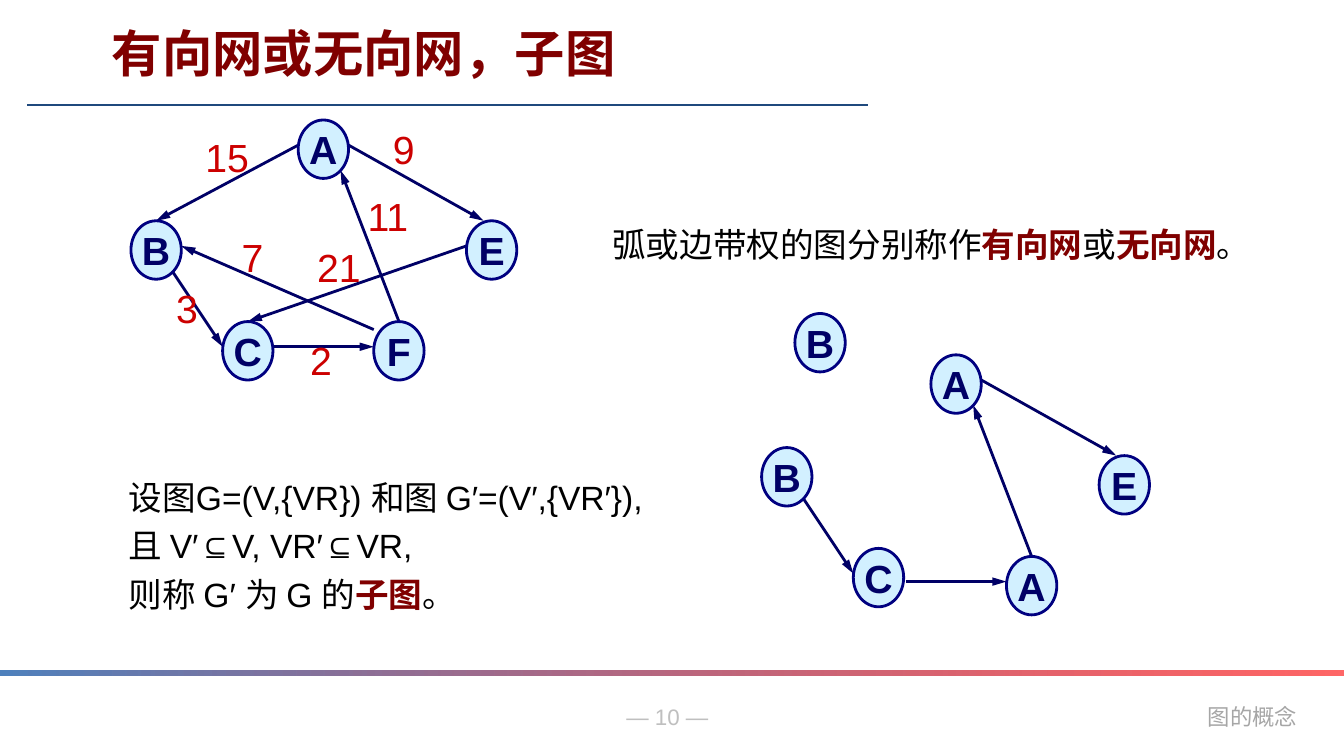
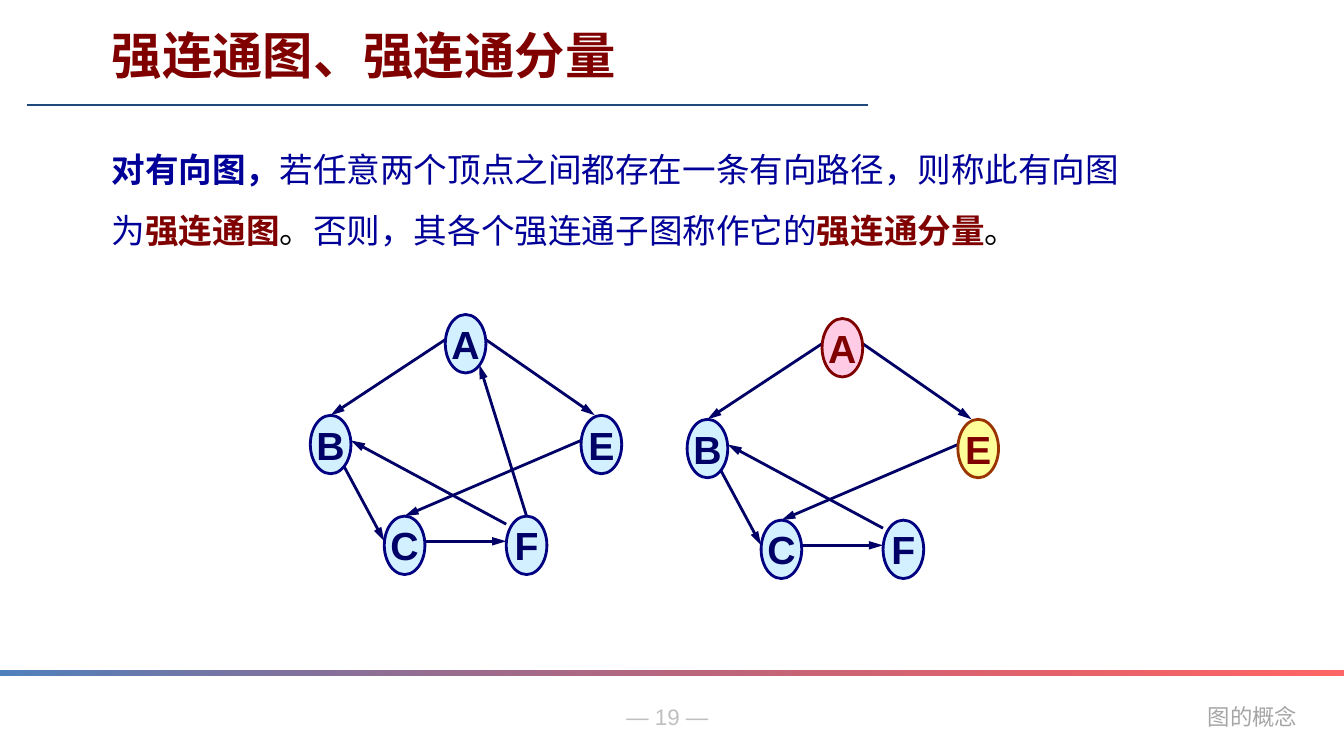
from dataclasses import dataclass
from pptx import Presentation
from pptx.dml.color import RGBColor as Rgb
from pptx.enum.shapes import MSO_CONNECTOR as Conn, MSO_SHAPE as Shape
from pptx.enum.text import MSO_ANCHOR as Anchor, PP_ALIGN as Align
from pptx.oxml.ns import qn
from pptx.util import Inches, Pt
from lxml.etree import SubElement as Sub


@dataclass(frozen=True)
class Theme:
    font: str = "Arial"
    mono: str = "Noto Sans Mono"
    head: int = 36
    node: int = 28
    body: int = 24
    foot: int = 16
    ink: str = "000000"
    navy: str = "000099"
    key: str = "800000"
    cost: str = "CC0000"
    edge: str = "000066"
    rule: str = "1F497D"
    page: str = "BFBFBF"
    note: str = "A6A6A6"
    band: tuple = ("4F81BD", "FF0000")
    blue: tuple = ("A7E2FF", 50, "000080", "000066")
    pink: tuple = ("FF99CC", 50, "800000", "800000")
    gold: tuple = ("FFFF99", 100, "993300", "800000")


T = Theme()
WIDE, HIGH = 13.34, 7.5
NODE = (0.5, 0.58)
SPOTS = {"A": (1.66, 0), "B": (0, 1), "E": (3.33, 1), "C": (0.91, 2), "F": (2.41, 2)}
LEFT, RIGHT, TOP = (0, 0.25), (0.5, 0.25), (0.25, 0)
EDGES = {
    "AB": (LEFT, TOP),
    "BC": ((0.41, 0.5), LEFT),
    "CF": (RIGHT, LEFT),
    "FA": (TOP, (0.42, 0.5)),
    "AE": (RIGHT, (0.17, 0)),
    "FB": ((0, 0.08), RIGHT),
    "EC": (LEFT, TOP),
}
ALL = tuple(EDGES)
COSTS = [("15", 1.94, 1.27), ("9", 3.8, 1.19), ("7", 2.3, 2.27), ("21", 3.05, 2.36),
         ("11", 3.55, 1.86), ("3", 1.65, 2.77), ("2", 2.98, 3.29)]
SMALL = 0.807

SLIDES = [
    dict(
        title="有向网或无向网，子图", top=0.17, page="10",
        graphs=[
            dict(at=(7.58, 3.52), nodes="AEF", edges=("CF", "FA", "AE"), names={"F": "A"}),
            dict(at=(7.89, 2.11), nodes="B", edges=()),
            dict(at=(7.56, 3.44), nodes="BC", edges=("BC",)),
            dict(at=(1.3, 1.19), nodes="ABECF", edges=ALL),
        ],
        costs=COSTS,
        texts=[
            ((1.18, 4.6, 5.9, 1.51), 1.2, [
                [("设图G=(V,{VR}) 和图 G′=(V′,{VR′}),", T.ink, False)],
                [("且 V′⊆V, VR′⊆VR,", T.ink, False)],
                [("则称 G′ 为 G 的", T.ink, False), ("子图", T.key, True), ("。", T.ink, False)],
            ]),
            ((5.98, 2.09, 6.94, 0.54), 1.2, [
                [("弧或边带权的图分别称作", T.ink, False), ("有向网", T.key, True),
                 ("或", T.ink, False), ("无向网", T.key, True), ("。", T.ink, False)],
            ]),
        ],
    ),
    dict(
        title="强连通图、强连通分量", top=0.19, page="19",
        graphs=[
            dict(at=(3.08, 3.12), nodes="ABECF", edges=ALL, zoom=SMALL),
            dict(at=(6.82, 3.16), nodes="ABECF", zoom=SMALL,
                 edges=[e for e in ALL if e != "FA"], skins={"A": T.pink, "E": T.gold}),
        ],
        costs=[],
        texts=[
            ((1.01, 1.23, 10.42, 1.24), 1.5, [
                [("对有向图，", T.navy, True),
                 ("若任意两个顶点之间都存在一条有向路径，则称此有向图为", T.navy, False),
                 ("强连通图", T.key, True), ("。", T.ink, False),
                 ("否则，其各个强连通子图称作它的", T.navy, False),
                 ("强连通分量", T.key, True), ("。", T.ink, False)],
            ]),
        ],
    ),
]


def rgb(hue):
    return Rgb.from_string(hue)


def fade(fill, pct):
    color = list(fill.iter(qn("a:srgbClr")))[-1]
    Sub(color, qn("a:alpha")).set("val", str(pct * 1000))


def style(font, size, hue, bold=False, face=T.font):
    font.name, font.size, font.bold = face, Pt(size), bold
    font.color.rgb = rgb(hue)


def add_text(slide, box, paras, size, gap=None, wrap=True, face=T.font):
    frame = slide.shapes.add_textbox(*map(Inches, box)).text_frame
    frame.word_wrap = wrap
    for i, runs in enumerate(paras):
        para = frame.add_paragraph() if i else frame.paragraphs[0]
        if gap:
            para.line_spacing = gap
        style(para.font, size, runs[0][1], len(runs) == 1 and runs[0][2], face)
        for text, hue, bold in runs:
            run = para.add_run()
            run.text = text
            if len(runs) > 1:
                run.font.color.rgb = rgb(hue)
                run.font.bold = bold


def add_line(slide, start, end, hue, width, arrow=False):
    line = slide.shapes.add_connector(Conn.STRAIGHT, *map(Inches, (*start, *end)))
    line.line.color.rgb = rgb(hue)
    line.line.width = Pt(width)
    if arrow:
        tail = Sub(line.line._get_or_add_ln(), qn("a:tailEnd"))
        for key, val in (("type", "triangle"), ("w", "med"), ("len", "lg")):
            tail.set(key, val)
    Sub(line.element.spPr, qn("a:effectLst"))


def add_node(slide, spot, wide, name, skin):
    fill, pct, edge, hue = skin
    node = slide.shapes.add_shape(Shape.OVAL, *map(Inches, (*spot, wide, NODE[1])))
    node.shadow.inherit = False
    node.fill.solid()
    node.fill.fore_color.rgb = rgb(fill)
    if pct < 100:
        fade(node.element.spPr.find(qn("a:solidFill")), pct)
    node.line.color.rgb = rgb(edge)
    node.line.width = Pt(2)
    frame = node.text_frame
    frame.word_wrap = False
    frame.vertical_anchor = Anchor.MIDDLE
    para = frame.paragraphs[0]
    para.alignment = Align.CENTER
    style(para.font, T.node, hue, True)
    para.add_run().text = name


def add_graph(slide, at, nodes, edges, zoom=1, names={}, skins={}):
    def place(name, shift=(0, 0)):
        x, y = SPOTS[name]
        return at[0] + (x + shift[0]) * zoom, at[1] + y + shift[1]

    for edge in edges:
        start, end = map(place, edge, EDGES[edge])
        add_line(slide, start, end, T.edge, 2, True)
    for name in nodes:
        add_node(slide, place(name), NODE[0] * zoom, names.get(name, name),
                 skins.get(name, T.blue))


def add_frame(slide, title, top, page):
    add_text(slide, (6.12, 6.93, 1.17, 0.37), [[(f"— {page} —", T.page, False)]],
             T.foot, wrap=False)
    add_text(slide, (11.89, 6.93, 1.1, 0.37), [[("图的概念", T.note, False)]],
             T.foot, wrap=False, face=T.mono)
    add_line(slide, (0.27, 1.04), (8.62, 1.04), T.rule, 1)
    band = slide.shapes.add_shape(Shape.RECTANGLE, *map(Inches, (0, 6.65, WIDE, 0.05)))
    band.shadow.inherit = False
    band.line.fill.background()
    band.fill.gradient()
    band.fill.gradient_angle = 0
    for stop, hue in zip(band.fill.gradient_stops, T.band):
        stop.color.rgb = rgb(hue)
    fade(band.element.spPr.find(qn("a:gradFill")), 60)
    add_text(slide, (1.01, top, 8.18, 0.71), [[(title, T.key, True)]], T.head)


def main():
    deck = Presentation()
    deck.slide_width, deck.slide_height = Inches(WIDE), Inches(HIGH)
    for data in SLIDES:
        slide = deck.slides.add_slide(deck.slide_layouts[6])
        add_frame(slide, data["title"], data["top"], data["page"])
        for graph in data["graphs"]:
            add_graph(slide, **graph)
        for cost, x, y in data["costs"]:
            box = (x, y, 0.2 + 0.22 * len(cost), 0.57)
            add_text(slide, box, [[(cost, T.cost, False)]], T.node, wrap=False)
        for box, gap, paras in data["texts"]:
            add_text(slide, box, paras, T.body, gap)
    deck.save("out.pptx")


if __name__ == "__main__":
    main()
